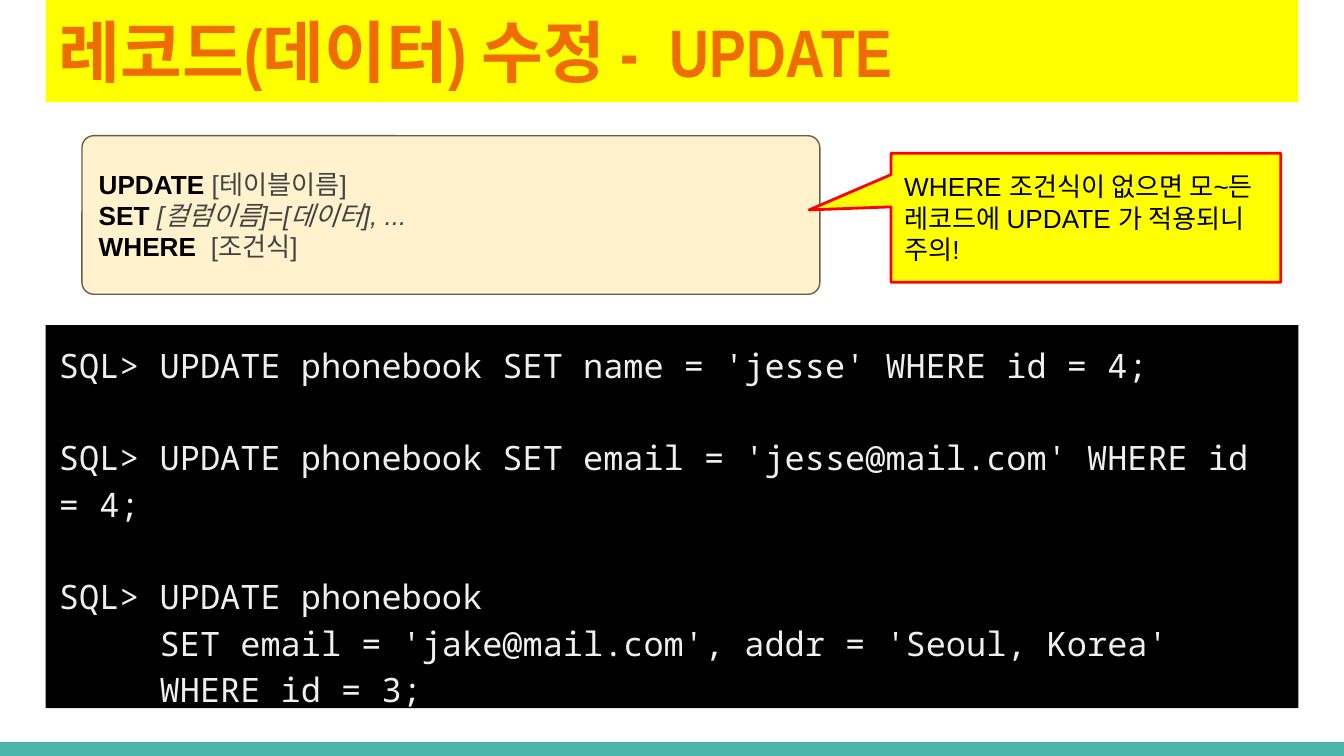
from pptx import Presentation
from pptx.dml.color import RGBColor
from pptx.enum.shapes import MSO_SHAPE
from pptx.enum.text import MSO_ANCHOR, PP_ALIGN
from pptx.util import Inches, Pt

# Content
TITLE = "레코드(데이터) 수정 -  UPDATE"
SYNTAX = [  # keyword, argument, argument in italics
    ("UPDATE ", "[테이블이름]", False),
    ("SET ", "[컬럼이름]=[데이터], ...", True),
    ("WHERE  ", "[조건식]", False),
]
WARNING = "WHERE 조건식이 없으면 모~든 레코드에 UPDATE 가 적용되니 주의!"
STATEMENTS = [
    ["SQL> UPDATE phonebook SET name = 'jesse' WHERE id = 4;"],
    ["SQL> UPDATE phonebook SET email = 'jesse@mail.com' WHERE id = 4;"],
    ["SQL> UPDATE phonebook",
     "SET email = 'jake@mail.com', addr = 'Seoul, Korea'",
     "WHERE id = 3;"],
]
COLORS = {
    "teal": "4DB6AC", "yellow": "FFFF00", "orange": "EF6C00", "black": "000000",
    "light": "EFEFEF", "cream": "FFF2CC", "brown": "695D46", "gray": "434343",
    "red": "FF0000",
}

# Layout, in inches
WIDTH = 10
HEIGHT = WIDTH * 9 / 16
MARGIN = 0.34
CONTENT_WIDTH = WIDTH - 2 * MARGIN
FOOTER_TOP = 5.52
PROMPT_INDENT = 0.75  # five monospaced characters
STATEMENT_GAP = 24.8  # points, one line of code

presentation = Presentation()
presentation.slide_width, presentation.slide_height = Inches(WIDTH), Inches(HEIGHT)
slide = presentation.slides.add_slide(presentation.slide_layouts[6])


def color(name):
    return RGBColor.from_string(COLORS[name])


def add_panel(preset, left, top, width, height, fill, line=None, line_width=1,
              adjustments=(), anchor=MSO_ANCHOR.MIDDLE):
    panel = slide.shapes.add_shape(
        preset, Inches(left), Inches(top), Inches(width), Inches(height))
    panel.shadow.inherit = False
    for index, value in enumerate(adjustments):
        panel.adjustments[index] = value
    panel.fill.solid()
    panel.fill.fore_color.rgb = color(fill)
    if line:
        panel.line.color.rgb = color(line)
        panel.line.width = Pt(line_width)
    else:
        panel.line.fill.background()
    frame = panel.text_frame
    frame.word_wrap = True
    frame.vertical_anchor = anchor
    frame.margin_left = frame.margin_right = Inches(0.1)
    frame.margin_top = frame.margin_bottom = Inches(0.1)
    return frame


def next_paragraph(frame):
    first = frame.paragraphs[0]
    paragraph = frame.add_paragraph() if first.runs else first
    paragraph.alignment = PP_ALIGN.LEFT
    return paragraph


def write(paragraph, text, size=14, font="Arial", ink="black", bold=False, italic=False):
    run = paragraph.add_run()
    run.text = text
    run.font.size, run.font.name = Pt(size), font
    run.font.bold, run.font.italic = bold, italic
    run.font.color.rgb = color(ink)


# Footer bar
add_panel(MSO_SHAPE.RECTANGLE, 0, FOOTER_TOP, WIDTH, HEIGHT - FOOTER_TOP, "teal")

# Title band
title = add_panel(MSO_SHAPE.RECTANGLE, MARGIN, -0.01, CONTENT_WIDTH, 0.77, "yellow")
write(next_paragraph(title), TITLE, size=36, font="Arial Narrow", ink="orange", bold=True)

# SQL console
console = add_panel(MSO_SHAPE.RECTANGLE, MARGIN, 2.42, CONTENT_WIDTH, 2.85, "black",
                    anchor=MSO_ANCHOR.TOP)
for statement in STATEMENTS:
    for number, code in enumerate(statement):
        paragraph = next_paragraph(console)
        paragraph.line_spacing = 1.15
        if number:
            paragraph._p.get_or_add_pPr().set("marL", str(Inches(PROMPT_INDENT)))
        write(paragraph, code, size=18, font="Noto Sans Mono", ink="light")
    if statement is not STATEMENTS[-1]:
        paragraph.space_after = Pt(STATEMENT_GAP)

# Syntax box
syntax = add_panel(MSO_SHAPE.ROUNDED_RECTANGLE, 0.61, 1.01, 5.49, 1.18, "cream",
                   line="brown", line_width=0.75, adjustments=[0.075])
for keyword, argument, italic in SYNTAX:
    paragraph = next_paragraph(syntax)
    write(paragraph, keyword, bold=True)
    write(paragraph, argument, ink="gray", italic=italic)

# Warning callout
warning = add_panel(MSO_SHAPE.ROUNDED_RECTANGULAR_CALLOUT, 6.63, 1.14, 2.9, 0.96, "yellow",
                    line="red", line_width=1.5, adjustments=[-0.71, -0.06, 0])
write(next_paragraph(warning), WARNING)

presentation.save("out.pptx")
